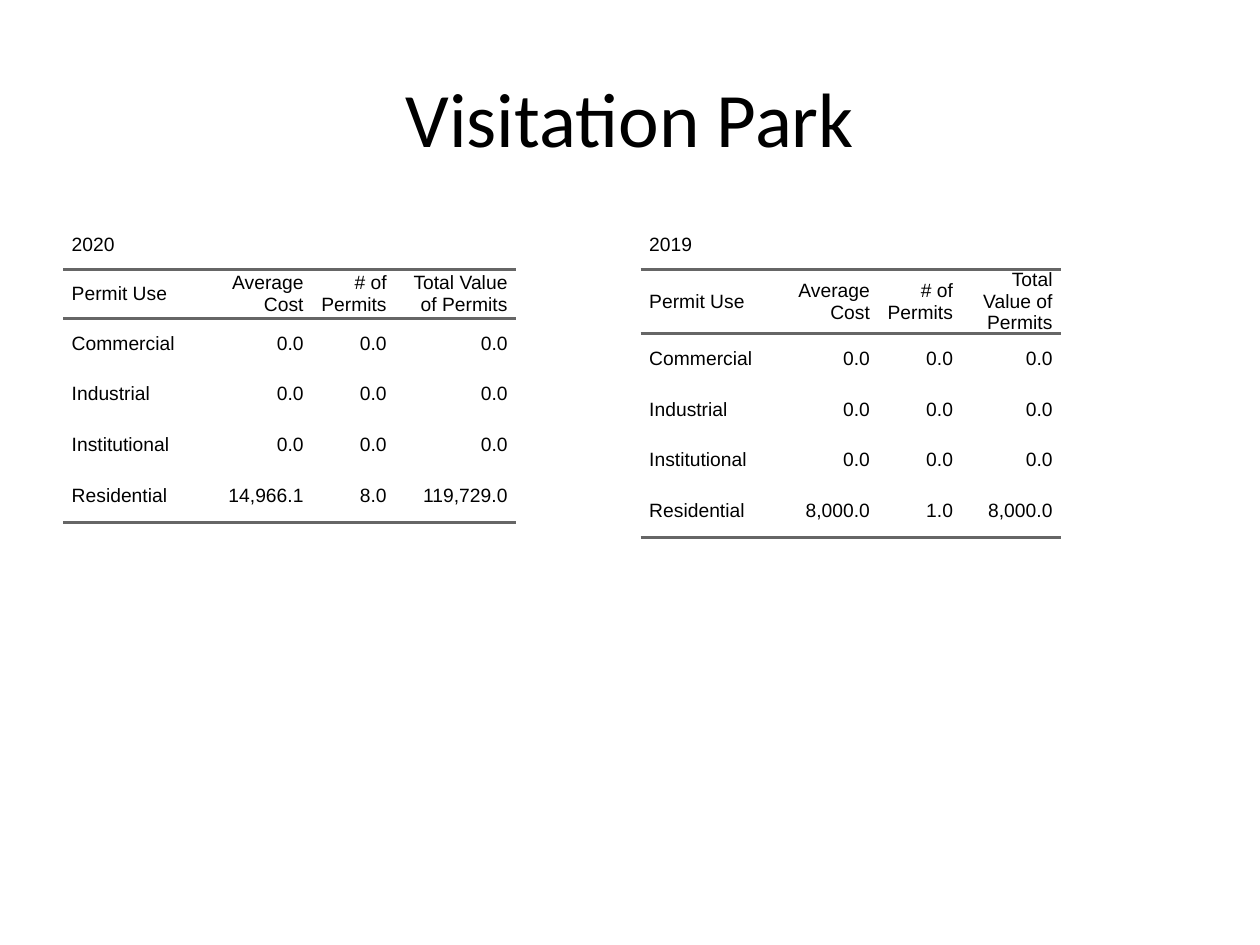
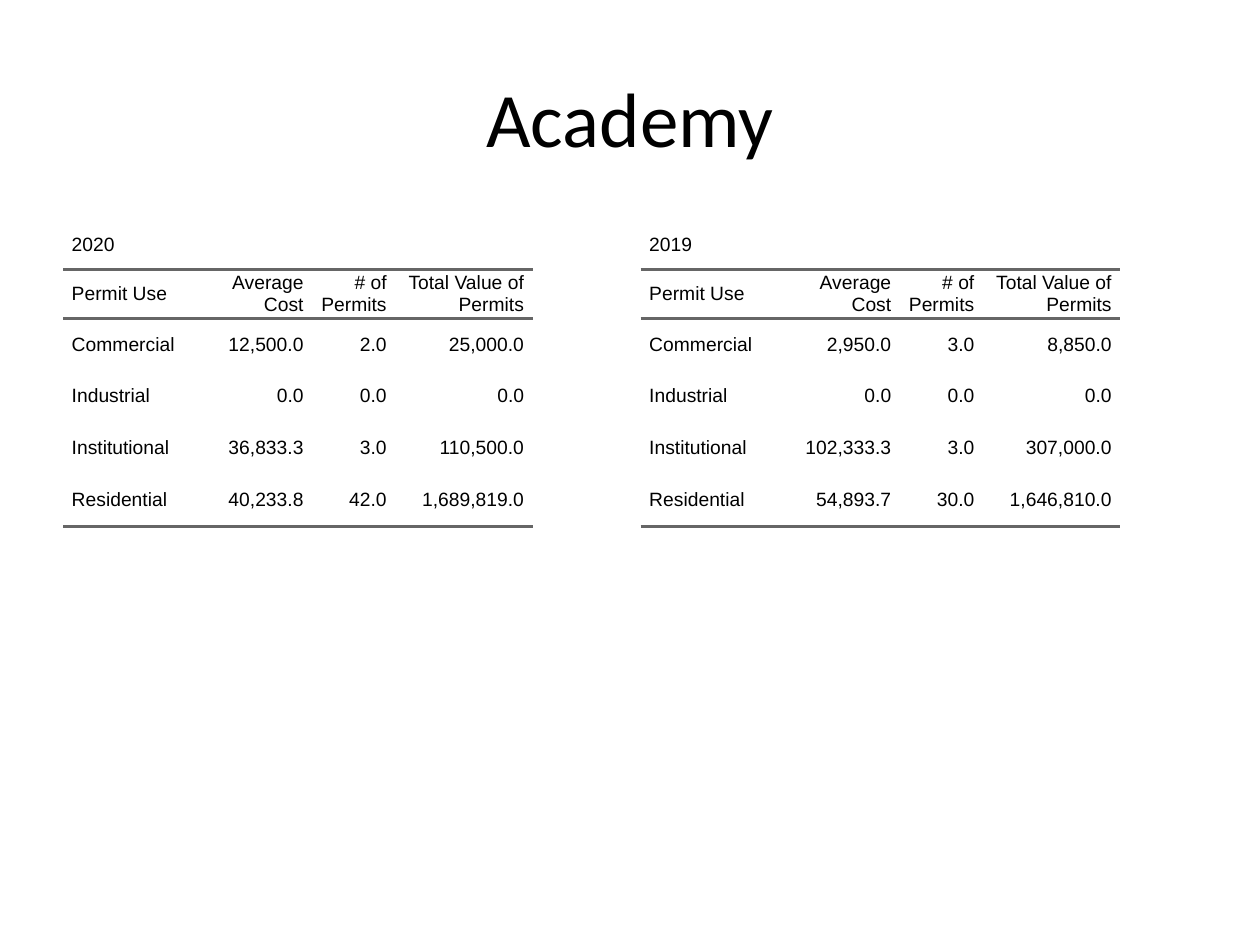
from dataclasses import dataclass

import pptx
import pptx.dml.color
import pptx.enum.text
import pptx.oxml.ns
import pptx.slide
import pptx.table
import pptx.util
from lxml import etree

Pt = pptx.util.Pt
Align = pptx.enum.text.PP_ALIGN
Anchor = pptx.enum.text.MSO_ANCHOR
qn = pptx.oxml.ns.qn


@dataclass(frozen=True)
class Theme:
    ink: str = "000000"
    rule: str = "666666"
    head: str = "Calibri"
    body: str = "Arial"
    big: float = 44
    small: float = 11
    weight: float = 2
    pad: float = 5


@dataclass(frozen=True)
class Permits:
    year: str
    left: float
    cols: tuple[float, ...]
    rows: tuple[tuple[str, str, str], ...]


@dataclass(frozen=True)
class Place:
    name: str
    heights: tuple[float, ...]
    tables: tuple[Permits, ...]


THEME = Theme()
PLAIN = "{2D5ABB26-0587-4C30-8999-92F81FD0307C}"  # no style, no grid
EDGE, TOP, WIDE, HIGH = 36, 126, 318.24, 356.4
RIGHT = 366
HEADS = ("Permit Use", "Average Cost", "# of Permits", "Total Value of Permits")
USES = ("Commercial", "Industrial", "Institutional", "Residential")
NONE = ("0.0", "0.0", "0.0")

PLACES = (
    Place("Visitation Park", (28, 28, 28.8, 28.8, 28.8, 30), (
        Permits("2020", EDGE, (79.2, 63.3, 47.5, 69.1),
                (NONE, NONE, NONE, ("14,966.1", "8.0", "119,729.0"))),
        Permits("2019", RIGHT, (79.2, 56.9, 47.5, 56.9),
                (NONE, NONE, NONE, ("8,000.0", "1.0", "8,000.0"))),
    )),
    Place("Academy", (28, 28, 30, 28.8, 30, 30), (
        Permits("2020", EDGE, (79.2, 63.3, 47.5, 78.5),
                (("12,500.0", "2.0", "25,000.0"), NONE,
                 ("36,833.3", "3.0", "110,500.0"),
                 ("40,233.8", "42.0", "1,689,819.0"))),
        Permits("2019", RIGHT, (79.2, 69.1, 47.5, 78.5),
                (("2,950.0", "3.0", "8,850.0"), NONE,
                 ("102,333.3", "3.0", "307,000.0"),
                 ("54,893.7", "30.0", "1,646,810.0"))),
    )),
)


def write(frame, text: str, face: str, size: float, align: Align) -> None:
    """Put one styled run in the first paragraph of a frame."""
    para = frame.paragraphs[0]
    para.alignment = align
    run = para.add_run()
    run.text = text
    run.font.name = face
    run.font.size = Pt(size)
    run.font.color.rgb = pptx.dml.color.RGBColor.from_string(THEME.ink)


def border(cell: pptx.table._Cell, sides: str) -> None:
    """Rule the named sides of a cell: T for top, B for bottom."""
    props = cell._tc.get_or_add_tcPr()
    for side in sides:
        line = etree.SubElement(props, qn(f"a:ln{side}"), w=str(Pt(THEME.weight)))
        fill = etree.SubElement(line, qn("a:solidFill"))
        etree.SubElement(fill, qn("a:srgbClr"), val=THEME.rule)


def style(cell: pptx.table._Cell, text: str, align: Align, sides: str) -> None:
    cell.margin_left = cell.margin_right = Pt(THEME.pad)
    cell.margin_top = cell.margin_bottom = 0
    cell.vertical_anchor = Anchor.MIDDLE
    border(cell, sides)
    cell.fill.background()
    if text:
        write(cell.text_frame, text, THEME.body, THEME.small, align)


def add_grid(slide: pptx.slide.Slide, data: Permits, heights: tuple[float, ...]) -> None:
    # Year line, heading row, then one row for each use
    lines = [(data.year, "", "", ""), HEADS]
    lines += [(use, *vals) for use, vals in zip(USES, data.rows)]
    rules = {1: "TB", len(lines) - 1: "B"}

    shape = slide.shapes.add_table(len(lines), len(HEADS), Pt(data.left), Pt(TOP),
                                   Pt(WIDE), Pt(HIGH))
    table = shape.table
    table.first_row = table.horz_banding = False
    table._tbl.tblPr.find(qn("a:tableStyleId")).text = PLAIN
    for col, width in zip(table.columns, data.cols):
        col.width = Pt(width)
    for row, height in zip(table.rows, heights):
        row.height = Pt(height)
    shape.width, shape.height = Pt(WIDE), Pt(HIGH)

    for r, line in enumerate(lines):
        for c, text in enumerate(line):
            align = Align.RIGHT if c else Align.LEFT
            style(table.cell(r, c), text, align, rules.get(r, ""))
    table.cell(0, 0).merge(table.cell(0, len(HEADS) - 1))


def add_title(slide: pptx.slide.Slide, text: str) -> None:
    box = slide.shapes.add_textbox(Pt(EDGE), Pt(21.6), Pt(648), Pt(90))
    frame = box.text_frame
    frame.word_wrap = True
    frame.vertical_anchor = Anchor.MIDDLE
    write(frame, text, THEME.head, THEME.big, Align.CENTER)


def main() -> None:
    deck = pptx.Presentation()
    deck.slide_width, deck.slide_height = Pt(720), Pt(540)
    for place in PLACES:
        slide = deck.slides.add_slide(deck.slide_layouts[6])
        for data in place.tables:
            add_grid(slide, data, place.heights)
        add_title(slide, place.name)
    deck.save("out.pptx")


if __name__ == "__main__":
    main()
